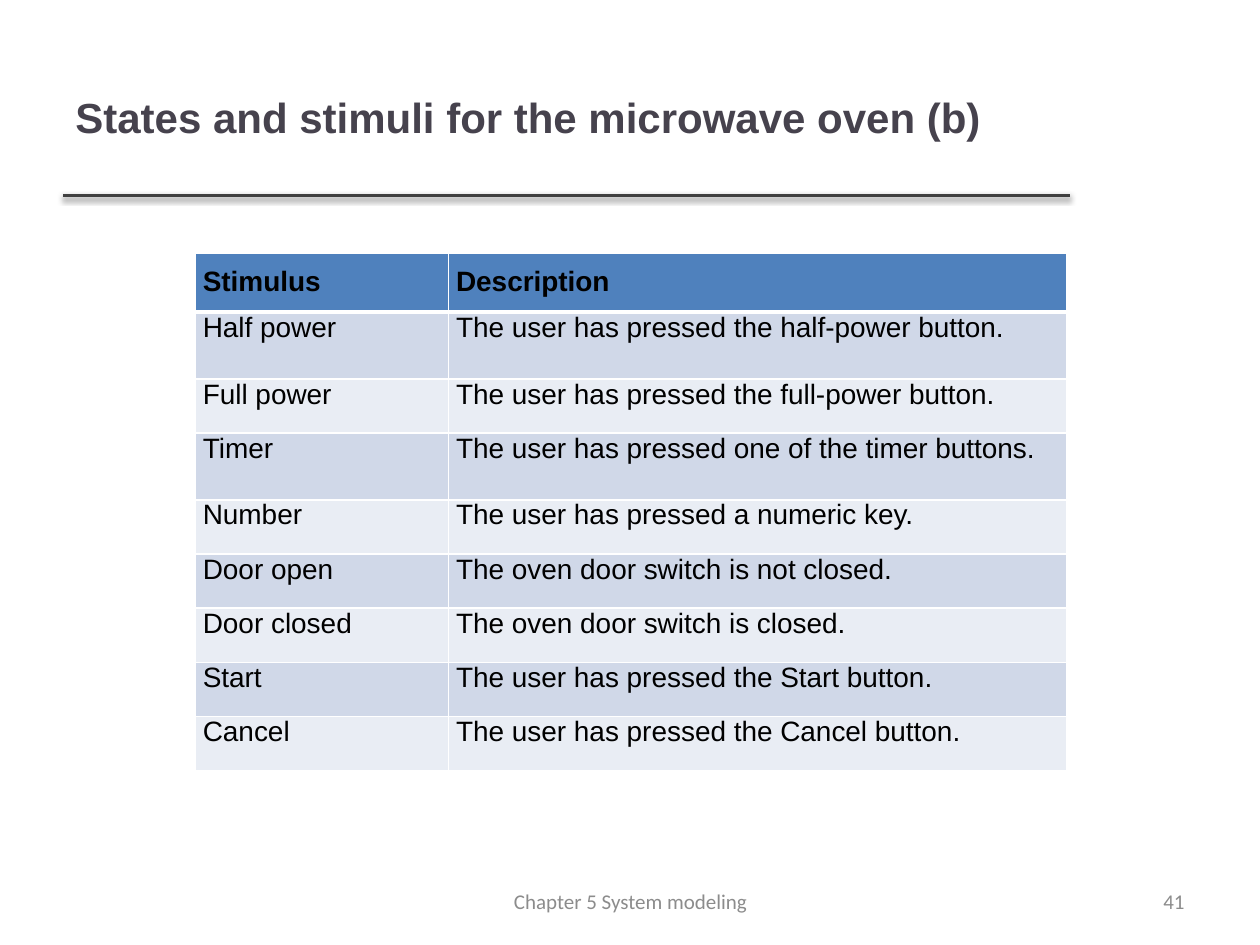
from lxml import etree
from pptx import Presentation
from pptx.dml.color import RGBColor
from pptx.enum.shapes import MSO_CONNECTOR
from pptx.enum.text import MSO_ANCHOR, PP_ALIGN
from pptx.oxml import parse_xml
from pptx.oxml.ns import nsdecls, qn
from pptx.util import Inches, Pt

LEFT, CENTER, RIGHT, JUSTIFY = PP_ALIGN.LEFT, PP_ALIGN.CENTER, PP_ALIGN.RIGHT, PP_ALIGN.JUSTIFY
MIDDLE, TOP = MSO_ANCHOR.MIDDLE, MSO_ANCHOR.TOP
STRAIGHT = MSO_CONNECTOR.STRAIGHT

STIMULI = [
    ("Stimulus", "Description"),
    ("Half power", "The user has pressed the half-power button."),
    ("Full power", "The user has pressed the full-power button."),
    ("Timer", "The user has pressed one of the timer buttons."),
    ("Number", "The user has pressed a numeric key."),
    ("Door open", "The oven door switch is not closed."),
    ("Door closed", "The oven door switch is closed."),
    ("Start", "The user has pressed the Start button."),
    ("Cancel", "The user has pressed the Cancel button."),
]
TALL_ROWS = (1, 3)


def rgb(value):
    """Turn a hex string into a colour."""
    return RGBColor.from_string(value)


class SlideBuilder:
    """Holds the style and the slide being built."""

    HEADING, BODY = "Arial", "Calibri"
    TITLE, INK, MUTED, RULE = "46424D", "000000", "8C8C8C", "404040"
    HEADER, BANDS, BORDER = "4F81BD", ("E9EDF4", "D0D8E8"), "FFFFFF"

    def __init__(self, s):
        """Keep the slide."""
        self.s = s

    def style(self, p, font, size, color, align, bold=False):
        """Set the font and alignment of a paragraph."""
        p.alignment = align
        p.font.name, p.font.size, p.font.bold = font, Pt(size), bold
        p.font.color.rgb = rgb(color)

    def text(self, text, x, y, w, h, *style):
        """Add a vertically centred text box."""
        tf = self.s.shapes.add_textbox(Inches(x), Inches(y), Inches(w), Inches(h)).text_frame
        tf.word_wrap = True
        tf.vertical_anchor = MIDDLE
        tf.text = text
        self.style(tf.paragraphs[0], *style)

    def rule(self, x1, x2, y):
        """Add a horizontal line with a soft shadow below it."""
        line = self.s.shapes.add_connector(STRAIGHT, Inches(x1), Inches(y), Inches(x2), Inches(y))
        line.line.color.rgb = rgb(self.RULE)
        line.line.width = Pt(2)
        line._element.spPr.append(parse_xml(
            f'<a:effectLst {nsdecls("a")}><a:outerShdw blurRad="{Pt(3.1)}" dist="{Pt(1.6)}" '
            'dir="5400000" rotWithShape="0"><a:srgbClr val="000000"><a:alpha val="38000"/>'
            '</a:srgbClr></a:outerShdw></a:effectLst>'))

    def borders(self, cell, top, bottom):
        """Draw the four borders of a cell; the sides are 1 pt."""
        tcPr = cell._tc.get_or_add_tcPr()
        for side, width in (("L", 1), ("R", 1), ("T", top), ("B", bottom)):
            ln = etree.SubElement(tcPr, qn(f"a:ln{side}"), w=str(Pt(width)))
            fill = etree.SubElement(ln, qn("a:solidFill"))
            etree.SubElement(fill, qn("a:srgbClr"), val=self.BORDER)

    def cell(self, cell, text, row):
        """Fill one table cell according to its row."""
        header = row == 0
        cell.margin_left = cell.margin_right = Inches(0.06)
        cell.margin_top = Inches(0.1 if header else 0)
        cell.margin_bottom = Inches(0.1)
        cell.vertical_anchor = TOP
        self.borders(cell, 3 if row == 1 else 1, 3 if header else 1)
        cell.fill.solid()
        cell.fill.fore_color.rgb = rgb(self.HEADER if header else self.BANDS[row % 2])
        cell.text = text
        self.style(cell.text_frame.paragraphs[0], self.HEADING, 16, self.INK, JUSTIFY, header)

    def table(self, rows, x, y, widths, heights):
        """Add a table with a header row and banded body rows."""
        table = self.s.shapes.add_table(
            len(rows), len(widths), Inches(x), Inches(y),
            Inches(sum(widths)), Inches(sum(heights))).table
        for column, width in zip(table.columns, widths):
            column.width = Inches(width)
        for i, (values, height) in enumerate(zip(rows, heights)):
            table.rows[i].height = Inches(height)
            for j, value in enumerate(values):
                self.cell(table.cell(i, j), value, i)


prs = Presentation()
prs.slide_width, prs.slide_height = Inches(10), Inches(7.5)
b = SlideBuilder(prs.slides.add_slide(prs.slide_layouts[6]))

b.rule(0.5, 8.49, 1.55)
b.text("States and stimuli for the microwave oven (b)", 0.5, 0.3, 7.98, 1.25,
       b.HEADING, 24, b.TITLE, LEFT, True)
heights = [0.53 if i in TALL_ROWS else 0.43 for i in range(len(STIMULI))]
b.table(STIMULI, 1.55, 2.01, (2.01, 4.91), heights)
b.text("41", 7.17, 6.95, 2.33, 0.4, b.BODY, 12, b.MUTED, RIGHT)
b.text("Chapter 5 System modeling", 3.42, 6.95, 3.17, 0.4, b.BODY, 12, b.MUTED, CENTER)

prs.save("out.pptx")
